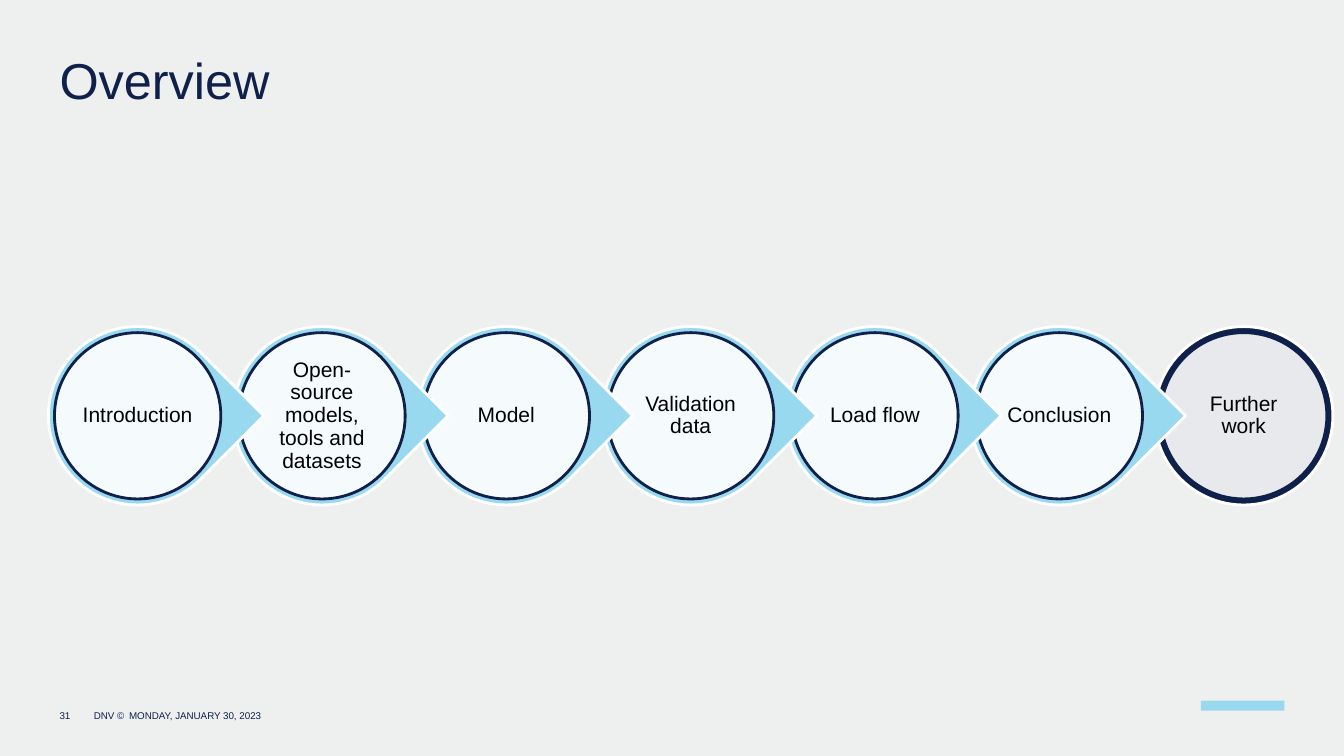
import pptx
import pptx.util
import pptx.dml.color
import pptx.enum.shapes
import pptx.enum.text
import pptx.oxml.ns
import lxml.etree

Inches = pptx.util.Inches
Pt = pptx.util.Pt
Shape = pptx.enum.shapes.MSO_SHAPE
Align = pptx.enum.text.PP_ALIGN
Anchor = pptx.enum.text.MSO_ANCHOR

COLORS = {"back": "EEEFEF", "navy": "0F204B", "sky": "99D9F0",
          "white": "FFFFFF", "black": "000000"}
STEPS = ["Introduction", "Open-source models, tools and datasets", "Model",
         "Validation data", "Load flow", "Conclusion", "Further work"]


def color(name):
    """Return the named colour."""
    return pptx.dml.color.RGBColor.from_string(COLORS[name])


def label(slide, box, text, size, tint="navy", align=Align.LEFT, pad=0,
          anchor=Anchor.TOP, space=1.0, wrap=True):
    """Place one line or block of text in the box."""
    frame = slide.shapes.add_textbox(*map(Inches, box)).text_frame
    frame.word_wrap = wrap
    frame.vertical_anchor = anchor
    frame.margin_left = frame.margin_right = Inches(pad)
    frame.margin_top = frame.margin_bottom = Inches(pad)
    para = frame.paragraphs[0]
    para.alignment = align
    para.line_spacing = space
    run = para.add_run()
    run.text = text
    run.font.name = "Arial"
    run.font.size = Pt(size)
    run.font.color.rgb = color(tint)


def form(slide, kind, box, fill, line=None):
    """Draw a flat preset shape in the box."""
    shape = slide.shapes.add_shape(kind, *map(Inches, box))
    shape.shadow.inherit = False
    shape.fill.solid()
    shape.fill.fore_color.rgb = color(fill)
    if line:
        shape.line.color.rgb = color(line)
        shape.line.width = Pt(2)
    else:
        shape.line.fill.background()
    return shape


def step(slide, left, top, size, text, last):
    """Draw one step: an outer drop or ring, a pale disc and its label."""
    outer = (left, top, size, size)
    if last:
        form(slide, Shape.OVAL, outer, "navy", "white")
    else:
        drop = form(slide, Shape.TEAR, outer, "sky", "white")
        drop.adjustments[0] = 1
        drop.rotation = 45
    gap = 0.06
    wide = size - 2 * gap
    disc = form(slide, Shape.OVAL, (left + gap, top + gap, wide, wide), "white", "navy")
    tint = disc.fill._xPr.find(".//" + pptx.oxml.ns.qn("a:srgbClr"))
    lxml.etree.SubElement(tint, pptx.oxml.ns.qn("a:alpha"), val="90000")
    inset = 0.295
    wide = size - 2 * inset
    label(slide, (left + inset, top + inset, wide, wide), text, 15, "black",
          Align.CENTER, 0.02, Anchor.MIDDLE, 0.9)


def chain(slide, left, top, width, size):
    """Spread the steps evenly, each one overlapping the next."""
    last = len(STEPS) - 1
    pitch = (width - size) / last
    for i in range(last, -1, -1):
        step(slide, left + i * pitch, top, size, STEPS[i], i == last)


def footer(slide, left, top, width):
    """Place the page number, owner, date and emblem block."""
    label(slide, (left, top, 0.29, 0.17), "31", 7)
    label(slide, (left + 0.34, top, 0.31, 0.12), "DNV ©", 7, wrap=False)
    label(slide, (left + 0.69, top, 1.31, 0.17), "MONDAY, JANUARY 30, 2023", 7,
          align=Align.CENTER)
    form(slide, Shape.RECTANGLE, (left + width - 0.83, top - 0.09, 0.83, 0.1), "sky")


def main():
    """Build and save the overview slide."""
    deck = pptx.Presentation()
    deck.slide_width, deck.slide_height = Inches(13.33), Inches(7.5)
    slide = deck.slides.add_slide(deck.slide_layouts[6])
    slide.background.fill.solid()
    slide.background.fill.fore_color.rgb = color("back")
    chain(slide, 0.48, 3.24, 12.74, 1.77)
    footer(slide, 0.59, 7.04, 12.15)
    label(slide, (0.59, 0.59, 12.15, 1.02), "Overview", 36, space=0.83)
    deck.save("out.pptx")


if __name__ == "__main__":
    main()
